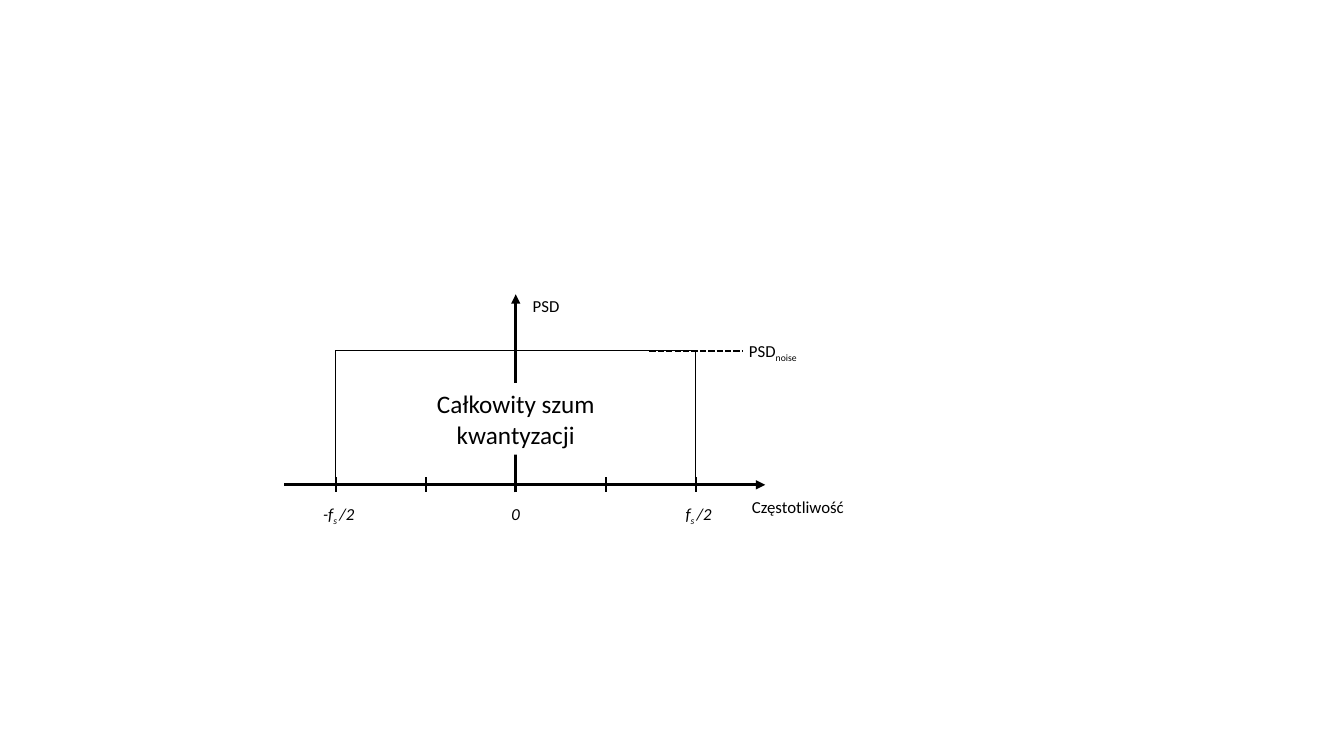
from lxml import etree
from pptx import Presentation
from pptx.dml.color import RGBColor
from pptx.enum.dml import MSO_LINE
from pptx.enum.shapes import MSO_CONNECTOR, MSO_SHAPE
from pptx.enum.text import MSO_ANCHOR, PP_ALIGN
from pptx.oxml.ns import qn
from pptx.util import Inches, Pt

STRAIGHT = MSO_CONNECTOR.STRAIGHT
RECTANGLE = MSO_SHAPE.RECTANGLE
DASHED = MSO_LINE.SQUARE_DOT
LEFT, CENTER = PP_ALIGN.LEFT, PP_ALIGN.CENTER
TOP, MIDDLE = MSO_ANCHOR.TOP, MSO_ANCHOR.MIDDLE

COLORS = {"ink": "000000", "paper": "FFFFFF"}
FONT = "Calibri"
LABEL_HEIGHT = 0.3
TICK_HALF = 0.075
INTERVALS = 4


def color(name):
    return RGBColor.from_string(COLORS[name])


def add_line(slide, start, end, width, arrow=False, dash=None):
    line = slide.shapes.add_connector(STRAIGHT, *map(Inches, start + end))
    line.line.color.rgb = color("ink")
    line.line.width = Pt(width)
    if dash is not None:
        line.line.dash_style = dash
    if arrow:
        etree.SubElement(line.line._get_or_add_ln(), qn("a:tailEnd"), type="triangle")
    etree.SubElement(line._element.spPr, qn("a:effectLst"))


def add_panel(slide, box, outline=None):
    panel = slide.shapes.add_shape(RECTANGLE, *map(Inches, box))
    panel.shadow.inherit = False
    panel.fill.solid()
    panel.fill.fore_color.rgb = color("paper")
    if outline is None:
        panel.line.fill.background()
    else:
        panel.line.color.rgb = color("ink")
        panel.line.width = Pt(outline)
    return panel


def write(shape, runs, size=12, italic=False, align=LEFT, anchor=TOP, wrap=False):
    """Write (text, is_subscript) runs as one paragraph."""
    frame = shape.text_frame
    frame.word_wrap = wrap
    frame.vertical_anchor = anchor
    paragraph = frame.paragraphs[0]
    paragraph.alignment = align
    for text, subscript in runs:
        run = paragraph.add_run()
        run.text = text
        run.font.name = FONT
        run.font.size = Pt(size)
        run.font.italic = italic
        run.font.color.rgb = color("ink")
        if subscript:
            run.font._element.set("baseline", "-25000")


def add_label(slide, x, y, width, runs, **style):
    label = slide.shapes.add_textbox(*map(Inches, (x, y, width, LABEL_HEIGHT)))
    write(label, runs, **style)


def draw_noise_spectrum(slide, left, top, width, height):
    right, base, middle = left + width, top + height, left + width / 2
    step = width / INTERVALS

    # Noise band and axes
    add_panel(slide, (left, top, width, height), outline=1)
    add_line(slide, (middle, base + TICK_HALF), (middle, top - 0.56), 2.25, arrow=True)
    add_line(slide, (left - 0.51, base), (right + 0.69, base), 2.25, arrow=True)

    # Frequency ticks
    for index in range(INTERVALS + 1):
        x = left + index * step
        add_line(slide, (x, base - TICK_HALF), (x, base + TICK_HALF), 1.5)

    # Tick labels
    half_rate = [("s ", True), ("/2", False)]
    tick_labels = [
        (left + 0.03, [("-f", False)] + half_rate),
        (middle, [("0", False)]),
        (right + 0.03, [("f", False)] + half_rate),
    ]
    for x, runs in tick_labels:
        add_label(slide, x - 0.3, base + 0.14, 0.6, runs, italic=True, align=CENTER)

    # Axis names
    add_label(slide, right + 0.46, base + 0.07, 1.13, [("Częstotliwość", False)])
    add_label(slide, middle + 0.07, top - 0.6, 0.47, [("PSD", False)])

    # Noise level
    add_line(slide, (right - 0.46, top), (right + 0.46, top), 1.5, dash=DASHED)
    add_label(slide, right + 0.43, top - 0.15, 0.72, [("PSD", False), ("noise", True)])

    # Caption over the vertical axis
    caption = add_panel(slide, (middle - 0.945, top + 0.32, 1.89, 0.71))
    write(caption, [("Całkowity szum kwantyzacji", False)],
          size=18, align=CENTER, anchor=MIDDLE, wrap=True)


def main():
    deck = Presentation()
    deck.slide_width, deck.slide_height = Inches(13.33), Inches(7.5)
    slide = deck.slides.add_slide(deck.slide_layouts[6])
    draw_noise_spectrum(slide, 3.33, 3.48, 3.57, 1.33)
    deck.save("out.pptx")


if __name__ == "__main__":
    main()
